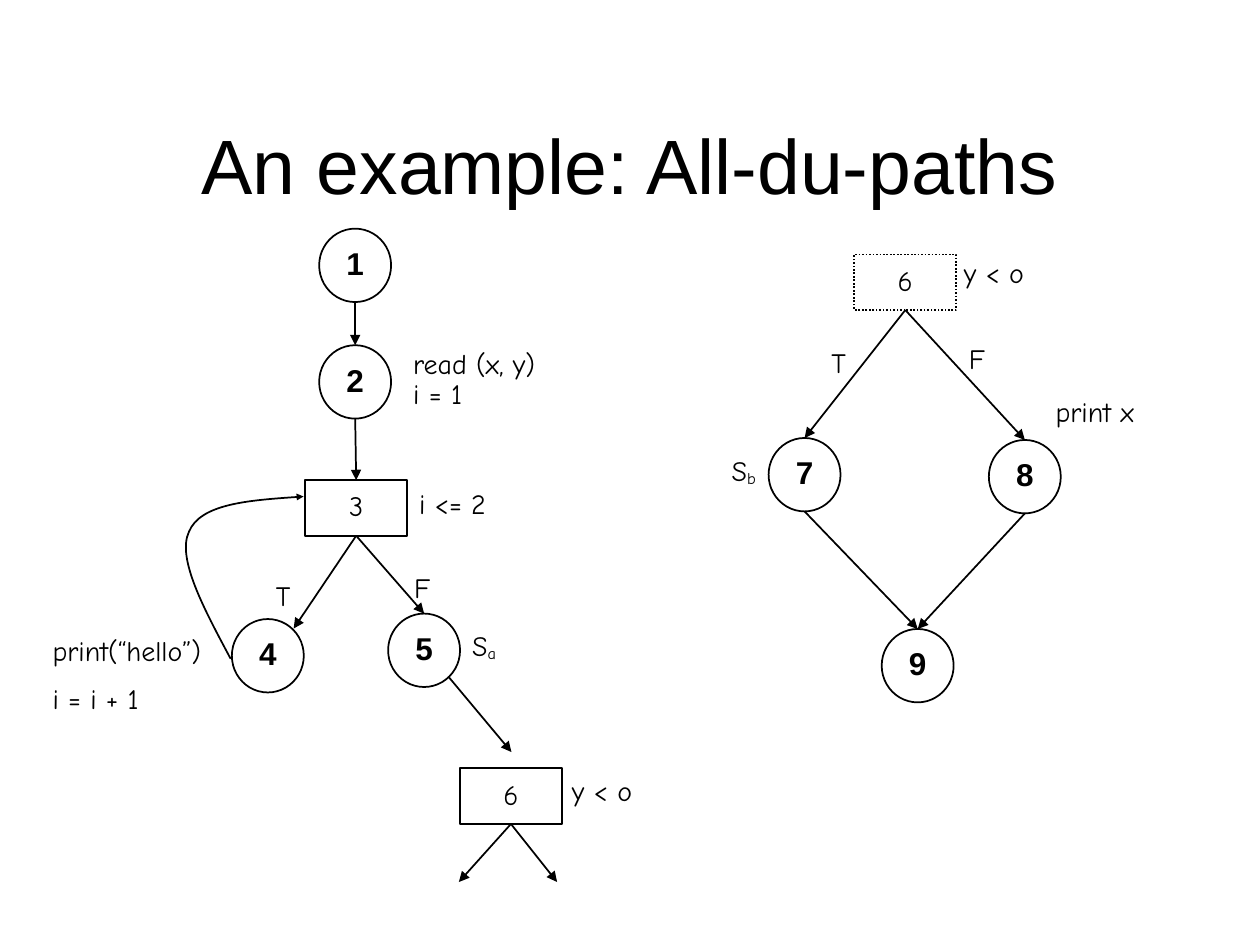
import pptx
import pptx.dml.color
import pptx.enum.dml
import pptx.enum.shapes
import pptx.enum.text
import pptx.oxml
import pptx.oxml.ns
import pptx.util

Cm = pptx.util.Cm
Pt = pptx.util.Pt
ALIGN = pptx.enum.text.PP_ALIGN
ANCHOR = pptx.enum.text.MSO_ANCHOR
FIT = pptx.enum.text.MSO_AUTO_SIZE
SHAPE = pptx.enum.shapes.MSO_SHAPE

COLOURS = {"ink": "000000"}
FONTS = {
    "title": {"name": "Arial", "size": Pt(44)},
    "circle": {"name": "Arial", "size": Pt(18), "bold": True},
    "plain": {"name": "Comic Neue", "size": Pt(16)},
}
SIZES = {"circle": (1.45, 1.48), "box": (2.06, 1.12)}
GEOMETRY = {"circle": SHAPE.OVAL, "box": SHAPE.RECTANGLE}

NODES = {
    "1": ("circle", "1", 7.16, 5.35),
    "2": ("circle", "2", 7.16, 7.7),
    "3": ("box", "3", 7.18, 10.24),
    "4": ("circle", "4", 5.4, 13.22),
    "5": ("circle", "5", 8.55, 13.11),
    "6": ("box", "6", 10.3, 16.05),
    "6 repeated": ("box", "6", 18.25, 5.69),
    "7": ("circle", "7", 16.22, 9.57),
    "8": ("circle", "8", 20.66, 9.61),
    "9": ("circle", "9", 18.5, 13.42),
}
EDGES = [("1", "2"), ("2", "3"), ("3", "5"), ("6 repeated", "7"),
         ("6 repeated", "8"), ("7", "9"), ("8", "9")]
BRANCH_ENDS = [("3", (5.92, 12.67)), ("6", (9.25, 17.78)), ("6", (11.23, 17.78))]
LOOP = [(4.65, 13.28), (4.11, 12.27), (3.56, 11.25), (3.81, 10.72),
        (4.04, 10.16), (5.08, 10.08), (6.12, 10.01)]
LABELS = [
    (["read (x, y)\vi = 1"], 8.08, 6.93, 3.35, 1.47),
    (["print(“hello”)", "i = i + 1"], 0.81, 12.73, 4.11, 1.83),
    (["T"], 5.31, 11.61, 1.35, 0.86),
    (["F"], 8.1, 11.46, 1.35, 0.86),
    (["S_a"], 9.27, 12.62, 1.32, 0.89),
    (["y < o"], 11.28, 15.54, 1.73, 0.86),
    (["i <= 2"], 8.2, 9.75, 2.79, 0.86),
    (["y < o"], 19.18, 5.11, 1.73, 0.86),
    (["print x"], 21.03, 7.9, 2.79, 0.86),
    (["T"], 16.51, 6.91, 1.35, 0.86),
    (["F"], 19.28, 6.83, 1.35, 0.86),
    (["S_b"], 14.5, 9.09, 1.22, 0.89),
]


class FlowGraph:
    def __init__(self, slide):
        self.slide = slide

    def apply(self, target, values):
        for name, value in values.items():
            setattr(target, name, value)

    def ink(self, colour_format):
        colour_format.rgb = pptx.dml.color.RGBColor.from_string(COLOURS["ink"])

    def place(self, shape, left, top, width, height):
        self.apply(shape, {"left": Cm(left), "top": Cm(top),
                           "width": Cm(width), "height": Cm(height)})

    def set_text(self, paragraph, text, style, **values):
        self.apply(paragraph, values)
        main_text, _, subscript = text.partition("_")
        paragraph.text = main_text
        if subscript:
            paragraph.add_run().text = subscript
        for run in paragraph.runs:
            self.apply(run.font, FONTS[style])
            self.ink(run.font.color)
        if subscript:
            paragraph.runs[-1].font._element.set("baseline", "-10000")

    def outline(self, shape, arrow_size=None):
        shape.line.width = Pt(1)
        self.ink(shape.line.color)
        if arrow_size:
            properties = shape.line._get_or_add_ln()
            tail = pptx.oxml.parse_xml(
                f'<a:tailEnd {pptx.oxml.ns.nsdecls("a")} type="triangle" '
                f'w="{arrow_size}" len="{arrow_size}"/>')
            properties.append(tail)

    def title(self, text):
        shape = self.slide.shapes.title
        self.place(shape, 1.9, 1.7, 21.59, 3.18)
        self.apply(shape.text_frame, {"vertical_anchor": ANCHOR.MIDDLE,
                                      "auto_size": FIT.NONE})
        self.set_text(shape.text_frame.paragraphs[0], text, "title",
                      alignment=ALIGN.CENTER)

    def node(self, kind, text, x, y, dotted=False):
        width, height = SIZES[kind]
        shape = self.slide.shapes.add_shape(
            GEOMETRY[kind], Cm(x - width / 2), Cm(y - height / 2),
            Cm(width), Cm(height))
        shape.shadow.inherit = False
        shape.fill.background()
        self.outline(shape)
        if dotted:
            shape.line.dash_style = pptx.enum.dml.MSO_LINE.ROUND_DOT
        self.apply(shape.text_frame, {"vertical_anchor": ANCHOR.MIDDLE,
                                      "word_wrap": False})
        self.set_text(shape.text_frame.paragraphs[0], text,
                      "circle" if kind == "circle" else "plain",
                      alignment=ALIGN.CENTER, line_spacing=0.9)

    def arrow(self, start, end):
        points = [Cm(value) for value in (*start, *end)]
        connector = self.slide.shapes.add_connector(
            pptx.enum.shapes.MSO_CONNECTOR.STRAIGHT, *points)
        self.outline(connector, "med")
        connector._element.spPr.append(pptx.oxml.parse_xml(
            f'<a:effectLst {pptx.oxml.ns.nsdecls("a")}/>'))

    def curve(self, points):
        points = [(Cm(x), Cm(y)) for x, y in points]
        builder = self.slide.shapes.build_freeform(*points[0])
        builder.add_line_segments(points[1:], close=False)
        shape = builder.convert_to_shape()
        shape.shadow.inherit = False
        shape.fill.background()
        self.outline(shape, "sm")
        segments = shape._element.xpath(".//a:lnTo")
        for first in range(0, len(segments), 3):
            group = segments[first:first + 3]
            bezier = pptx.oxml.parse_xml(
                f'<a:cubicBezTo {pptx.oxml.ns.nsdecls("a")}/>')
            group[0].addprevious(bezier)
            for segment in group:
                bezier.append(segment[0])
                segment.getparent().remove(segment)

    def label(self, lines, left, top, width, height):
        shape = self.slide.shapes.add_textbox(
            Cm(left), Cm(top), Cm(width), Cm(height))
        frame = shape.text_frame
        self.apply(frame, {"word_wrap": True, "auto_size": FIT.SHAPE_TO_FIT_TEXT})
        for index, line in enumerate(lines):
            paragraph = frame.add_paragraph() if index else frame.paragraphs[0]
            self.set_text(paragraph, line, "plain",
                          line_spacing=0.9, space_before=Pt(10))


def edge_point(name, side):
    kind, _, x, y = NODES[name]
    return x, y + side * SIZES[kind][1] / 2


def main():
    presentation = pptx.Presentation()
    presentation.slide_width = Cm(25.4)
    presentation.slide_height = Cm(19.05)
    graph = FlowGraph(presentation.slides.add_slide(presentation.slide_layouts[5]))
    graph.title("An example: All-du-paths")
    for name, node in NODES.items():
        graph.node(*node, dotted=name == "6 repeated")
    for source, target in EDGES:
        graph.arrow(edge_point(source, 1), edge_point(target, -1))
    for source, end in BRANCH_ENDS:
        graph.arrow(edge_point(source, 1), end)
    graph.arrow((9.04, 13.64), (10.31, 15.16))
    graph.curve(LOOP)
    for label in LABELS:
        graph.label(*label)
    presentation.save("out.pptx")


if __name__ == "__main__":
    main()
